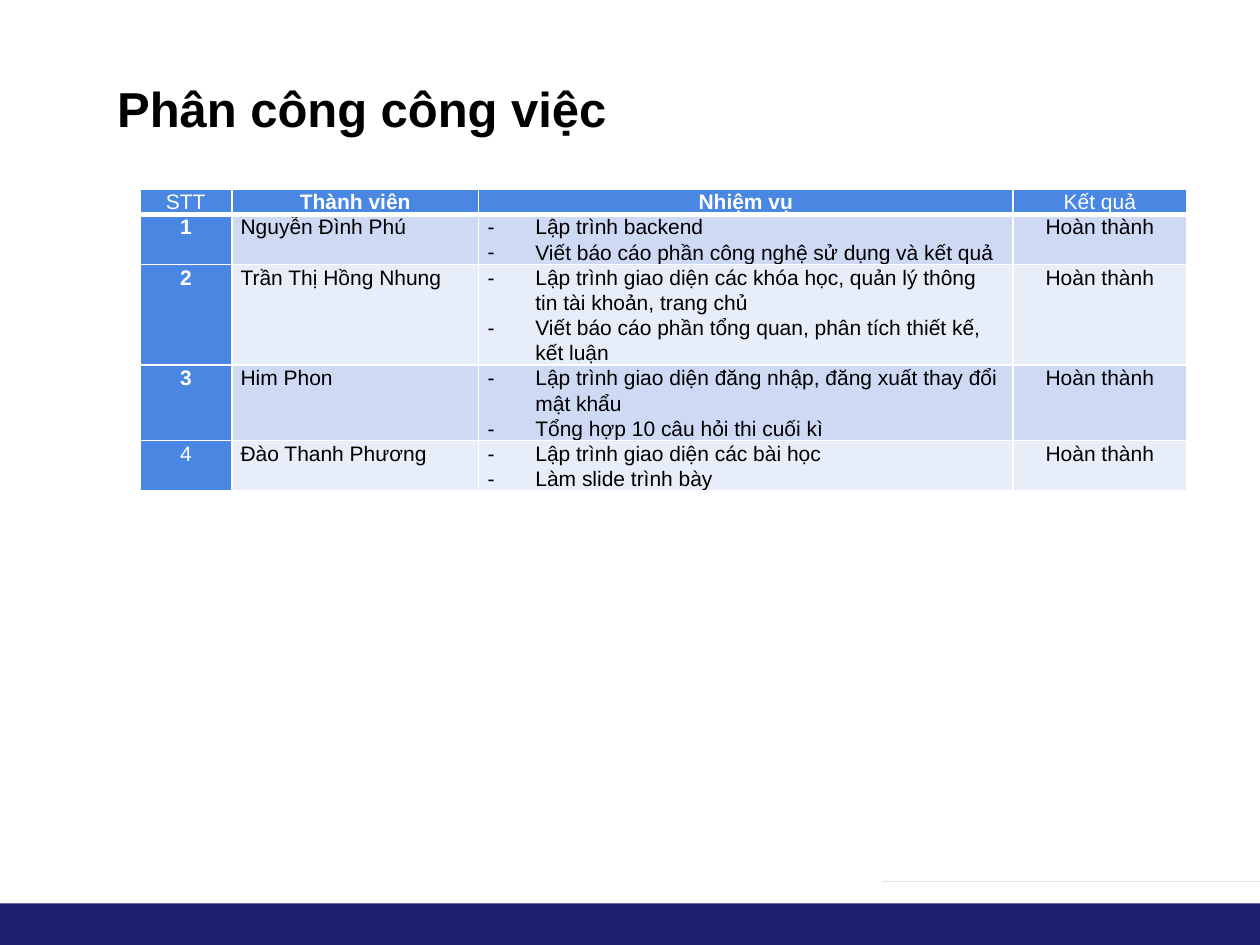
import pptx
import pptx.dml.color
import pptx.enum.shapes
import pptx.enum.text
import pptx.oxml.ns
import pptx.util
from lxml import etree

RGBColor = pptx.dml.color.RGBColor
Inches = pptx.util.Inches
Pt = pptx.util.Pt
ALIGN = pptx.enum.text.PP_ALIGN

NAVY = RGBColor(0x1D, 0x1F, 0x6F)
BLUE = RGBColor(0x49, 0x87, 0xE3)
BANDS = (RGBColor(0xCE, 0xD9, 0xF4), RGBColor(0xE8, 0xED, 0xFA))
WHITE = RGBColor(0xFF, 0xFF, 0xFF)
BLACK = RGBColor(0, 0, 0)

FONT = "Arial"
WIDTH, HEIGHT = 10, 7.5
COLUMNS = (0.73, 1.96, 4.24, 1.38)
ROW_HEIGHT = 0.17
TASK_COLUMN = 2
INDENT = 0.38
HEADERS = ("STT", "Thành viên", "Nhiệm vụ", "Kết quả")
REGULAR_LABELS = ("STT", "Kết quả", "4")
RESULT = "Hoàn thành"
MEMBERS = (
    ("Nguyễn Đình Phú", (
        "Lập trình backend",
        "Viết báo cáo phần công nghệ sử dụng và kết quả")),
    ("Trần Thị Hồng Nhung", (
        "Lập trình giao diện các khóa học, quản lý thông tin tài khoản, trang chủ",
        "Viết báo cáo phần tổng quan, phân tích thiết kế, kết luận")),
    ("Him Phon", (
        "Lập trình giao diện đăng nhập, đăng xuất thay đổi mật khẩu",
        "Tổng hợp 10 câu hỏi thi cuối kì")),
    ("Đào Thanh Phương", (
        "Lập trình giao diện các bài học",
        "Làm slide trình bày")),
)


def add_element(parent, tag, **attributes):
    """Append a DrawingML element and return it."""
    return etree.SubElement(parent, pptx.oxml.ns.qn(tag), attributes)


def add_color(parent, color):
    """Append an RGB colour element."""
    add_element(parent, "a:srgbClr", val=str(color))


def format_spans(para, size, color, bold):
    """Give every run of a paragraph its font."""
    for span in para.runs:
        span.font.name = FONT
        span.font.size = Pt(size)
        span.font.bold = bold
        span.font.color.rgb = color


def paint(shape, color):
    """Fill a shape flat, without outline or shadow."""
    shape.fill.solid()
    shape.fill.fore_color.rgb = color
    shape.line.fill.background()
    shape.shadow.inherit = False


def add_footer(slide):
    """Draw the bottom band and its raised right end."""
    band_top, tab_top, tab_bottom = 7.17, 7, 7.25
    tab_left, slope_end = 7.33, 7.58
    band = slide.shapes.add_shape(
        pptx.enum.shapes.MSO_SHAPE.RECTANGLE,
        0, Inches(band_top), Inches(WIDTH), Inches(HEIGHT - band_top))
    outline = slide.shapes.build_freeform(tab_left, band_top, scale=Inches(1))
    outline.add_line_segments((
        (slope_end, tab_top), (WIDTH, tab_top),
        (WIDTH, tab_bottom), (tab_left, tab_bottom)), close=True)
    for shape in (band, outline.convert_to_shape()):
        paint(shape, NAVY)


def set_title(slide, text):
    """Place and format the title placeholder."""
    title = slide.shapes.title
    title.left, title.top = Inches(0.83), Inches(0.55)
    title.width, title.height = Inches(8.58), Inches(0.62)
    frame = title.text_frame
    frame.text = text
    frame.vertical_anchor = pptx.enum.text.MSO_ANCHOR.MIDDLE
    para = frame.paragraphs[0]
    para.alignment = ALIGN.LEFT
    format_spans(para, 28, BLACK, True)


def set_borders(cell, bottom):
    """Draw white lines round a cell, with the given bottom width."""
    properties = cell._tc.get_or_add_tcPr()
    for side, width in zip("LRTB", (1, 1, 1, bottom)):
        line = add_element(properties, f"a:ln{side}", w=str(Pt(width)))
        add_color(add_element(line, "a:solidFill"), WHITE)


def add_dash(para):
    """Give a paragraph a hanging dash bullet."""
    properties = para._p.get_or_add_pPr()
    properties.set("marL", str(Inches(INDENT)))
    properties.set("indent", str(-Inches(INDENT)))
    add_color(add_element(properties, "a:buClr"), BLACK)
    add_element(properties, "a:buFont", typeface=FONT)
    add_element(properties, "a:buChar", char="-")


def fill_cell(cell, row, column, text):
    """Write a cell and style it by its place in the table."""
    is_label = row == 0 or column == 0
    set_borders(cell, 3 if row == 0 else 1)
    cell.fill.solid()
    cell.fill.fore_color.rgb = BLUE if is_label else BANDS[(row - 1) % 2]
    cell.margin_left = cell.margin_right = Inches(0.07)
    cell.margin_top = cell.margin_bottom = 0
    cell.text_frame.text = text
    centered = is_label or column == len(COLUMNS) - 1
    for para in cell.text_frame.paragraphs:
        para.alignment = ALIGN.CENTER if centered else ALIGN.LEFT
        para.line_spacing = 1.07
        format_spans(para, 12, WHITE if is_label else BLACK,
                     is_label and text not in REGULAR_LABELS)
        if column == TASK_COLUMN and not is_label:
            add_dash(para)


def add_task_table(slide):
    """Build the table of members, tasks and results."""
    rows = [HEADERS] + [
        (str(number), name, "\n".join(tasks), RESULT)
        for number, (name, tasks) in enumerate(MEMBERS, 1)]
    table = slide.shapes.add_table(
        len(rows), len(COLUMNS), Inches(1.11), Inches(1.5),
        Inches(sum(COLUMNS)), Inches(ROW_HEIGHT * len(rows))).table
    table.horz_banding = False
    for column, width in zip(table.columns, COLUMNS):
        column.width = Inches(width)
    for row, texts in enumerate(rows):
        table.rows[row].height = Inches(ROW_HEIGHT)
        for column, text in enumerate(texts):
            fill_cell(table.cell(row, column), row, column, text)


def main():
    """Build the work assignment slide and save it."""
    deck = pptx.Presentation()
    deck.slide_width, deck.slide_height = Inches(WIDTH), Inches(HEIGHT)
    slide = deck.slides.add_slide(deck.slide_layouts.get_by_name("Title Only"))
    add_footer(slide)
    set_title(slide, "Phân công công việc")
    add_task_table(slide)
    deck.save("out.pptx")


if __name__ == "__main__":
    main()
